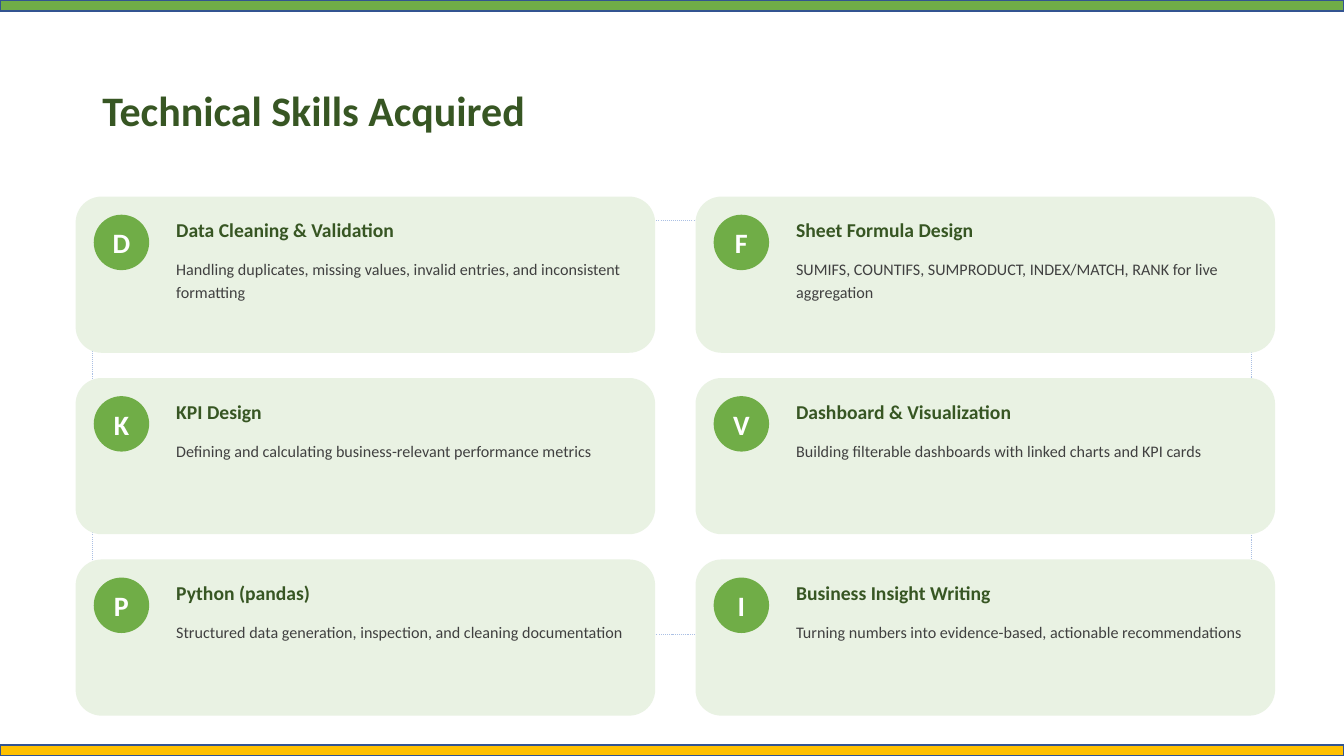
from pptx import Presentation
from pptx.dml.color import RGBColor
from pptx.enum.dml import MSO_LINE
from pptx.enum.shapes import MSO_SHAPE
from pptx.enum.text import MSO_ANCHOR, MSO_AUTO_SIZE, PP_ALIGN
from pptx.util import Pt

RECT, ROUND_RECT, OVAL = MSO_SHAPE.RECTANGLE, MSO_SHAPE.ROUNDED_RECTANGLE, MSO_SHAPE.OVAL
LEFT, CENTER = PP_ALIGN.LEFT, PP_ALIGN.CENTER
MIDDLE = MSO_ANCHOR.MIDDLE
GROW, NO_FIT = MSO_AUTO_SIZE.SHAPE_TO_FIT_TEXT, MSO_AUTO_SIZE.NONE
DOTTED = MSO_LINE.ROUND_DOT

WIDTH, HEIGHT = 960, 540
BAR_H = 7.92
CARD_W, CARD_H = 414, 111.6
CARD_X, CARD_Y = 54, 140.4
STEP_X, STEP_Y = 442.8, 129.6

SKILLS = [
    ("D", "Data Cleaning & Validation",
     "Handling duplicates, missing values, invalid entries, and inconsistent formatting"),
    ("F", "Sheet Formula Design",
     "SUMIFS, COUNTIFS, SUMPRODUCT, INDEX/MATCH, RANK for live aggregation"),
    ("K", "KPI Design",
     "Defining and calculating business-relevant performance metrics"),
    ("V", "Dashboard & Visualization",
     "Building filterable dashboards with linked charts and KPI cards"),
    ("P", "Python (pandas)",
     "Structured data generation, inspection, and cleaning documentation"),
    ("I", "Business Insight Writing",
     "Turning numbers into evidence-based, actionable recommendations"),
]


def rgb(value):
    return RGBColor.from_string(value)


class SlideBuilder:
    font = "Calibri"
    green, dark, pale = "70AD47", "375623", "E9F2E3"
    gold, body, white = "FFC000", "404040", "FFFFFF"
    bar_line, frame_line = "325491", "ABC0E4"

    def __init__(self, slide):
        self.s = slide

    def set_text(self, tf, text, size, color, bold=False, align=LEFT):
        tf.word_wrap = True
        p = tf.paragraphs[0]
        p.text = text
        p.alignment = align
        p.font.name, p.font.size, p.font.bold = self.font, Pt(size), bold
        p.font.color.rgb = rgb(color)
        return p

    def title(self, text, x, y, w, h):
        sp = self.s.shapes.title
        sp.left, sp.top, sp.width, sp.height = Pt(x), Pt(y), Pt(w), Pt(h)
        tf = sp.text_frame
        tf.auto_size, tf.vertical_anchor = NO_FIT, MIDDLE
        self.set_text(tf, text, 30, self.dark, True).line_spacing = 0.9

    def shape(self, kind, x, y, w, h, fill=None, line=None, weight=1.0):
        sp = self.s.shapes.add_shape(kind, Pt(x), Pt(y), Pt(w), Pt(h))
        sp.shadow.inherit = False
        if fill:
            sp.fill.solid()
            sp.fill.fore_color.rgb = rgb(fill)
        else:
            sp.fill.background()
        if line:
            sp.line.color.rgb = rgb(line)
            sp.line.width = Pt(weight)
        else:
            sp.line.fill.background()
        return sp

    def text(self, text, x, y, w, h, size, color, bold=False):
        tf = self.s.shapes.add_textbox(Pt(x), Pt(y), Pt(w), Pt(h)).text_frame
        tf.auto_size = GROW
        p = self.set_text(tf, text, size, color, bold)
        p.line_spacing, p.space_after = 1.15, Pt(8)

    def badge(self, letter, x, y):
        tf = self.shape(OVAL, x, y, 39.6, 39.6, self.green).text_frame
        tf.vertical_anchor = MIDDLE
        self.set_text(tf, letter, 20, self.white, True, CENTER)

    def card(self, x, y, letter, heading, detail):
        self.shape(ROUND_RECT, x, y, CARD_W, CARD_H, self.pale)
        self.badge(letter, x + 12.96, y + 12.96)
        self.text(heading, x + 64.8, y + 9.36, 338.4, 28.8, 14, self.dark, True)
        self.text(detail, x + 64.8, y + 39.6, 338.4, 68.4, 11.5, self.body)


def main():
    prs = Presentation()
    prs.slide_width, prs.slide_height = Pt(WIDTH), Pt(HEIGHT)
    b = SlideBuilder(prs.slides.add_slide(prs.slide_layouts[5]))

    # Edge bars and dotted frame
    for y, fill in ((0, b.green), (HEIGHT - BAR_H, b.gold)):
        b.shape(RECT, 0, y, WIDTH, BAR_H, fill, b.bar_line)
    frame = b.shape(RECT, 66, 157.5, 828, 296, line=b.frame_line, weight=0.75)
    frame.line.dash_style = DOTTED

    # Title
    b.title("Technical Skills Acquired", 66, 28.8, 729.5, 104.4)

    # Skill cards in two columns
    for i, skill in enumerate(SKILLS):
        row, col = divmod(i, 2)
        b.card(CARD_X + col * STEP_X, CARD_Y + row * STEP_Y, *skill)

    prs.save("out.pptx")


if __name__ == "__main__":
    main()
